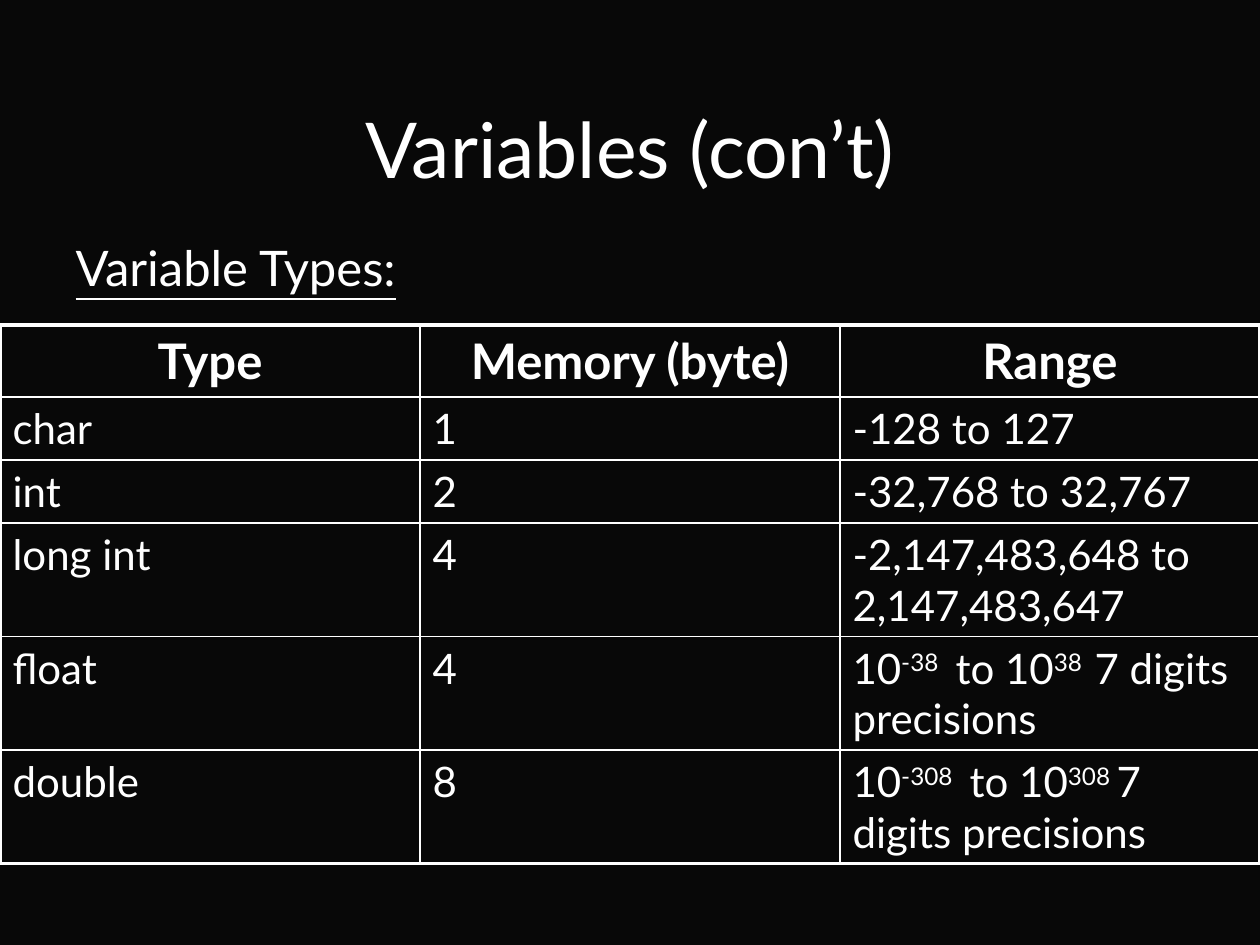
from lxml.etree import SubElement as Sub
from pptx import Presentation
from pptx.dml.color import RGBColor
from pptx.enum.text import MSO_ANCHOR as Anchor, MSO_AUTO_SIZE as Fit, PP_ALIGN as Align
from pptx.oxml.ns import qn
from pptx.util import Emu, Pt

WHITE, BLACK = "FFFFFF", "080808"
THIN, THICK = 1, 2.25


def px(n):
    return Emu(round(n * 914400 / 126))


def color(code):
    return RGBColor.from_string(code)


class Deck:
    """Holds the text style and the current slide."""

    font = "Lato"
    ink = WHITE

    def __init__(self, wide, high, back):
        self.prs = Presentation()
        self.prs.slide_width, self.prs.slide_height = px(wide), px(high)
        self.slide = self.prs.slides.add_slide(self.prs.slide_layouts[1])
        fill = self.slide.background.fill
        fill.solid()
        fill.fore_color.rgb = color(back)

    def run(self, para, text, size, bold=False, line=False, up=False):
        run = para.add_run()
        run.text = text
        font = run.font
        font.name, font.size, font.bold = self.font, Pt(size), bold
        font.underline = line
        font.color.rgb = color(self.ink)
        if up:
            run._r.get_or_add_rPr().set("baseline", "30000")

    def place(self, index, box):
        """Moves a placeholder and returns its text frame."""
        shape = self.slide.placeholders[index]
        shape.left, shape.top, shape.width, shape.height = map(px, box)
        frame = shape.text_frame
        frame.auto_size = Fit.NONE
        return frame

    def title(self, text, box):
        frame = self.place(0, box)
        frame.vertical_anchor = Anchor.MIDDLE
        para = frame.paragraphs[0]
        para.alignment = Align.CENTER
        self.run(para, text, 44)

    def body(self, text, box):
        para = self.place(1, box).paragraphs[0]
        props = para._p.get_or_add_pPr()
        Sub(props, qn("a:buNone"))
        self.run(para, text, 28, line=True)

    def edge(self, cell, widths):
        """Draws the left, right, top and bottom borders, in points."""
        props = cell._tc.get_or_add_tcPr()
        for side, width in zip("LRTB", widths):
            line = Sub(props, qn(f"a:ln{side}"), w=str(Pt(width)))
            Sub(Sub(line, qn("a:solidFill")), qn("a:srgbClr"), val=self.ink)

    def table(self, rows, box, highs):
        """Each cell is a list of parts; every second part is raised."""
        last, end = len(rows) - 1, len(rows[0]) - 1
        shape = self.slide.shapes.add_table(last + 1, end + 1, *map(px, box))
        grid = shape.table
        grid.first_row = grid.horz_banding = False
        for row, high in zip(grid.rows, highs):
            row.height = px(high)
        for r, row in enumerate(rows):
            head = r == 0
            for c, parts in enumerate(row):
                cell = grid.cell(r, c)
                outer = (c == 0, c == end, head, r == last)
                self.edge(cell, [THICK if out else THIN for out in outer])
                cell.fill.background()
                cell.vertical_anchor = Anchor.MIDDLE if head else Anchor.TOP
                para = cell.text_frame.paragraphs[0]
                para.alignment = Align.CENTER if head else Align.LEFT
                for i, text in enumerate(parts):
                    self.run(para, text, 28 if head else 24, bold=head, up=i % 2 == 1)


ROWS = [
    [["Type"], ["Memory (byte)"], ["Range"]],
    [["char"], ["1"], ["-128 to 127"]],
    [["int"], ["2"], ["-32,768 to 32,767"]],
    [["long int"], ["4"], ["-2,147,483,648 to 2,147,483,647"]],
    [["float"], ["4"], ["10", "-38 ", " to 10", "38  ", "7 digits precisions"]],
    [["double"], ["8"], ["10", "-308 ", " to 10", "308 ", "7 digits precisions"]],
]


def main():
    deck = Deck(1260, 945, BLACK)
    deck.title("Variables (con’t)", (63, 53, 1134, 189))
    deck.body("Variable Types:", (63, 231, 557, 94))
    deck.table(ROWS, (0, 325, 1260, 538), [72, 63, 63] + [113] * 3)
    deck.prs.save("out.pptx")


if __name__ == "__main__":
    main()
